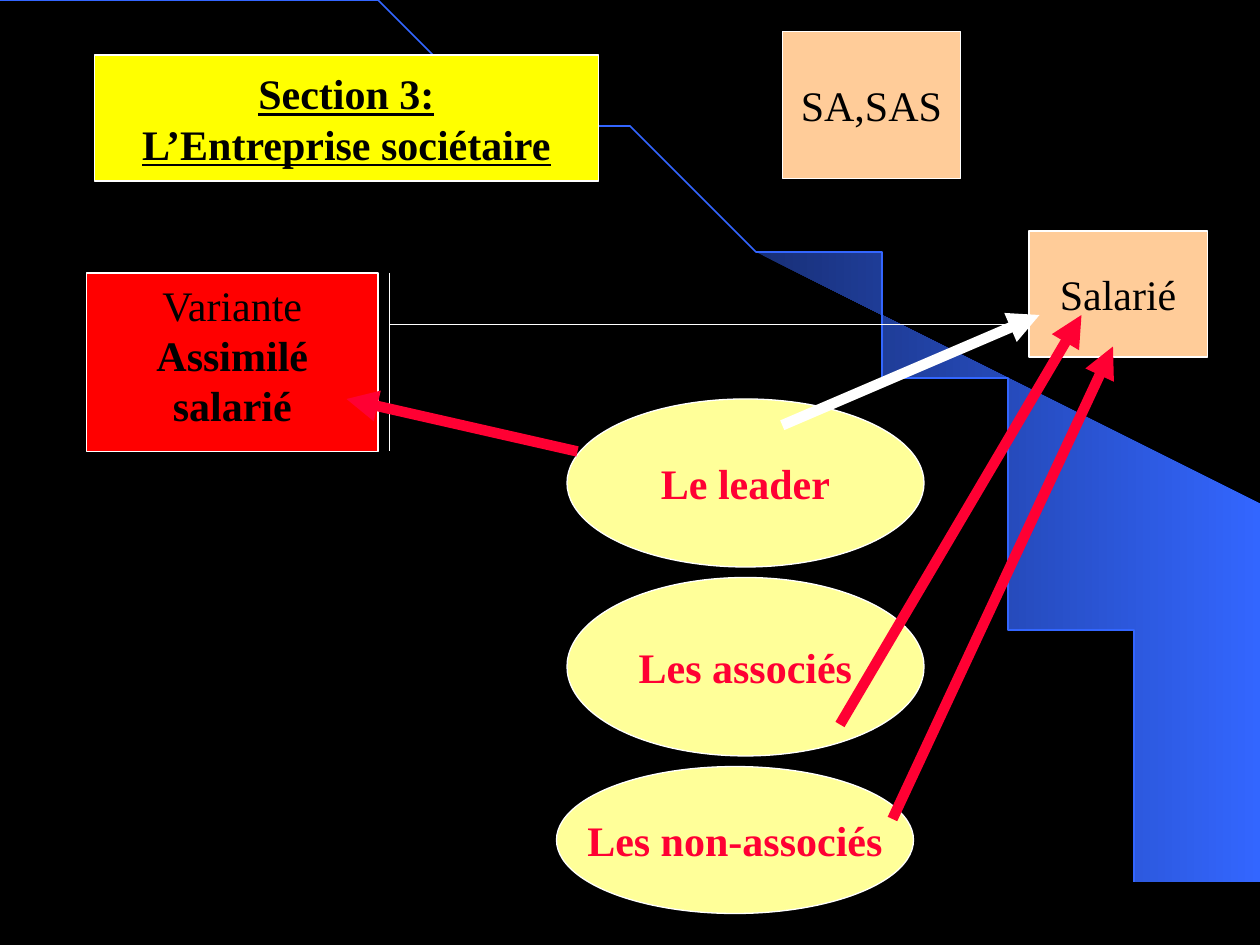
import math
from dataclasses import dataclass

from lxml import etree
from pptx import Presentation
from pptx import util as u
from pptx.dml.color import RGBColor
from pptx.enum import shapes, text
from pptx.oxml.ns import qn

COLS, ROWS = 120, 90  # grid cells of a twelfth of an inch
CELL = u.Inches(1) // 12


@dataclass(frozen=True)
class Theme:
    font: str = "Times New Roman"
    size: int = 24
    outline: float = 0.75
    arrow: float = 6
    black: str = "000000"
    white: str = "FFFFFF"
    yellow: str = "FFFF00"
    cream: str = "FFFF99"
    peach: str = "FFCC99"
    red: str = "FF0000"
    crimson: str = "FF0033"
    navy: str = "182F76"
    blue: str = "3366FF"


THEME = Theme()


@dataclass(frozen=True)
class Line:
    words: str
    bold: bool = False
    underline: bool = False


@dataclass(frozen=True)
class Node:
    kind: shapes.MSO_SHAPE
    left: float
    top: float
    width: float
    height: float
    fill: str
    ink: str
    lines: tuple[Line, ...]
    wrap: bool = False
    anchor: text.MSO_ANCHOR = text.MSO_ANCHOR.MIDDLE
    adjustments: tuple[float, ...] = ()


@dataclass(frozen=True)
class Arrow:
    start: tuple[float, float]
    end: tuple[float, float]
    color: str


RECT, OVAL = shapes.MSO_SHAPE.RECTANGLE, shapes.MSO_SHAPE.OVAL
CALLOUT = shapes.MSO_SHAPE.LINE_CALLOUT_2_BORDER_AND_ACCENT_BAR


def member(top: float, height: float, words: str, left: float = 54) -> Node:
    return Node(OVAL, left, top, 34, height, THEME.cream, THEME.crimson,
                (Line(words, bold=True),))


def status(left: float, top: float, height: float, words: str) -> Node:
    return Node(RECT, left, top, 17, height, THEME.peach, THEME.black,
                (Line(words),))


NODES = (
    Node(RECT, 9, 5.25, 48, 12, THEME.yellow, THEME.black,
         (Line("Section 3:", True, True),
          Line("L’Entreprise sociétaire", True, True))),
    member(38, 16, "Le leader"),
    member(55, 17, "Les associés"),
    member(73, 14, "Les non-associés", left=53),
    status(74.5, 3, 14, "SA,SAS"),
    status(98, 22, 12, "Salarié"),
    Node(CALLOUT, 8.25, 26, 27.75, 17, THEME.red, THEME.black,
         (Line("Variante"), Line("Assimilé salarié", bold=True)),
         wrap=True, anchor=text.MSO_ANCHOR.TOP,
         adjustments=(0.29, 1.04, 0.29, 3.21, 0.29, 3.17)),
)

ARROWS = (
    Arrow((74.5, 40.5), (99, 30), THEME.white),
    Arrow((55, 43), (33, 38), THEME.crimson),
    Arrow((80, 69), (103, 30), THEME.crimson),
    Arrow((85, 78), (106, 33), THEME.crimson),
)


def cells(count: float) -> int:
    return round(count * CELL)


def rgb(code: str) -> RGBColor:
    return RGBColor.from_string(code)


def set_line(line, color: str, width: float) -> None:
    line.color.rgb = rgb(color)
    line.width = u.Pt(width)


def arc(start: float, steps: int = 60) -> list[tuple[float, float]]:
    """Points of the quarter ellipse, from an angle in radians to its foot."""
    angles = (start + (math.pi / 2 - start) * i / steps
              for i in range(steps + 1))
    return [(9.2 * math.sin(a), 7.49 * (1 - math.cos(a))) for a in angles]


def draw_outline(slide, points: list[tuple[float, float]], close: bool):
    builder = slide.shapes.build_freeform(*points[0], scale=u.Inches(1))
    builder.add_line_segments(points[1:], close=close)
    shape = builder.convert_to_shape()
    shape.shadow.inherit = False
    return shape


def draw_backdrop(slide) -> None:
    slide.background.fill.solid()
    slide.background.fill.fore_color.rgb = rgb(THEME.black)

    # Shaded crescent between the curve and the right edge
    crescent = draw_outline(
        slide, arc(math.asin(0.64)) + [(9.99, 7.49), (9.99, 4.23)], True)
    crescent.fill.gradient()
    crescent.fill.gradient_angle = 0
    for stop, color in zip(crescent.fill.gradient_stops,
                           (THEME.navy, THEME.blue)):
        stop.color.rgb = rgb(color)
    crescent.line.fill.background()

    # Curve across the slide
    curve = draw_outline(slide, arc(0), False)
    curve.fill.background()
    set_line(curve.line, THEME.blue, 1)


def draw_node(slide, node: Node) -> None:
    shape = slide.shapes.add_shape(
        node.kind, *map(cells, (node.left, node.top, node.width, node.height)))
    shape.shadow.inherit = False
    for index, value in enumerate(node.adjustments):
        shape.adjustments[index] = value
    shape.fill.solid()
    shape.fill.fore_color.rgb = rgb(node.fill)
    set_line(shape.line, THEME.white, THEME.outline)

    frame = shape.text_frame
    frame.word_wrap = node.wrap
    frame.vertical_anchor = node.anchor
    for index, line in enumerate(node.lines):
        paragraph = frame.add_paragraph() if index else frame.paragraphs[0]
        paragraph.alignment = text.PP_ALIGN.CENTER
        run = paragraph.add_run()
        run.text = line.words
        formats = {"name": THEME.font, "size": u.Pt(THEME.size),
                   "bold": line.bold, "underline": line.underline}
        for key, value in formats.items():
            setattr(run.font, key, value)
        run.font.color.rgb = rgb(node.ink)


def draw_arrow(slide, arrow: Arrow) -> None:
    link = slide.shapes.add_connector(
        shapes.MSO_CONNECTOR.STRAIGHT, *map(cells, arrow.start + arrow.end))
    set_line(link.line, arrow.color, THEME.arrow)
    properties = link._element.spPr
    etree.SubElement(properties.find(qn("a:ln")), qn("a:tailEnd"),
                     type="triangle")
    etree.SubElement(properties, qn("a:effectLst"))


def main() -> None:
    deck = Presentation()
    deck.slide_width, deck.slide_height = cells(COLS), cells(ROWS)
    slide = deck.slides.add_slide(deck.slide_layouts[6])
    draw_backdrop(slide)
    for node in NODES:
        draw_node(slide, node)
    for arrow in ARROWS:
        draw_arrow(slide, arrow)
    deck.save("out.pptx")


if __name__ == "__main__":
    main()
